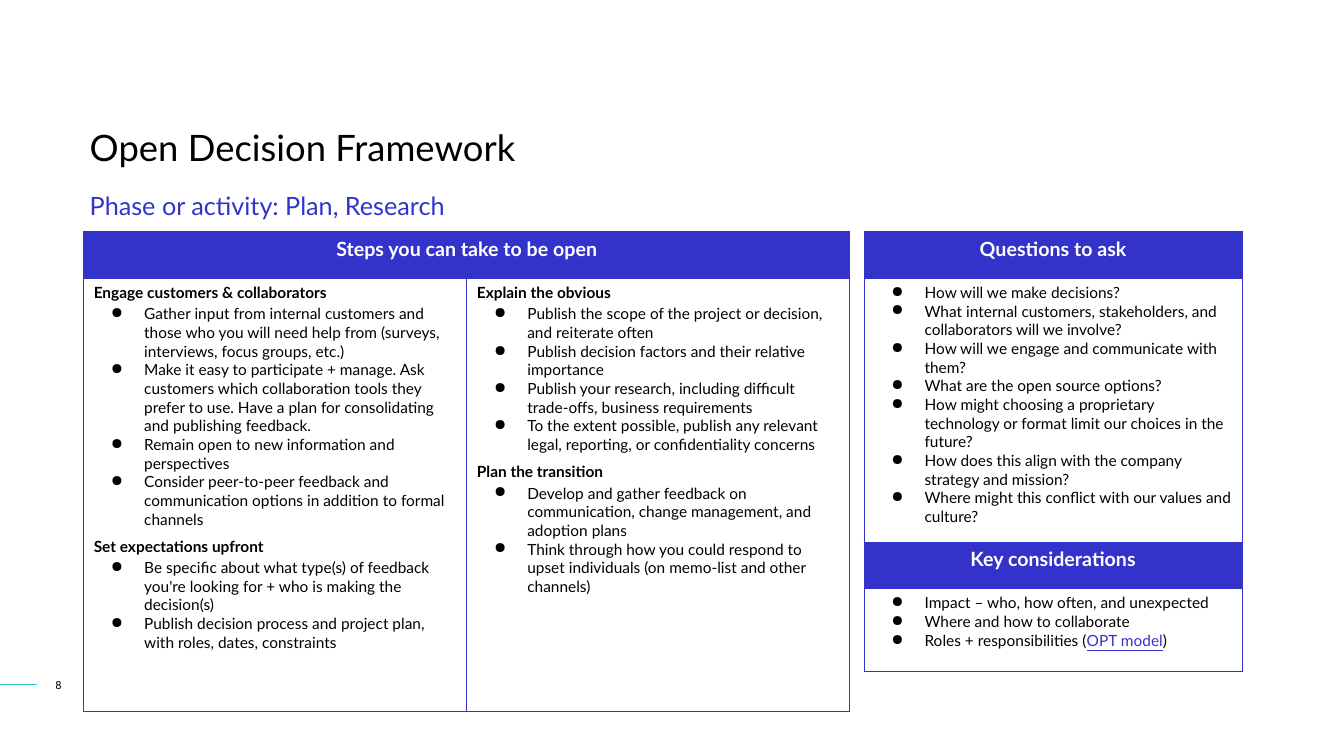
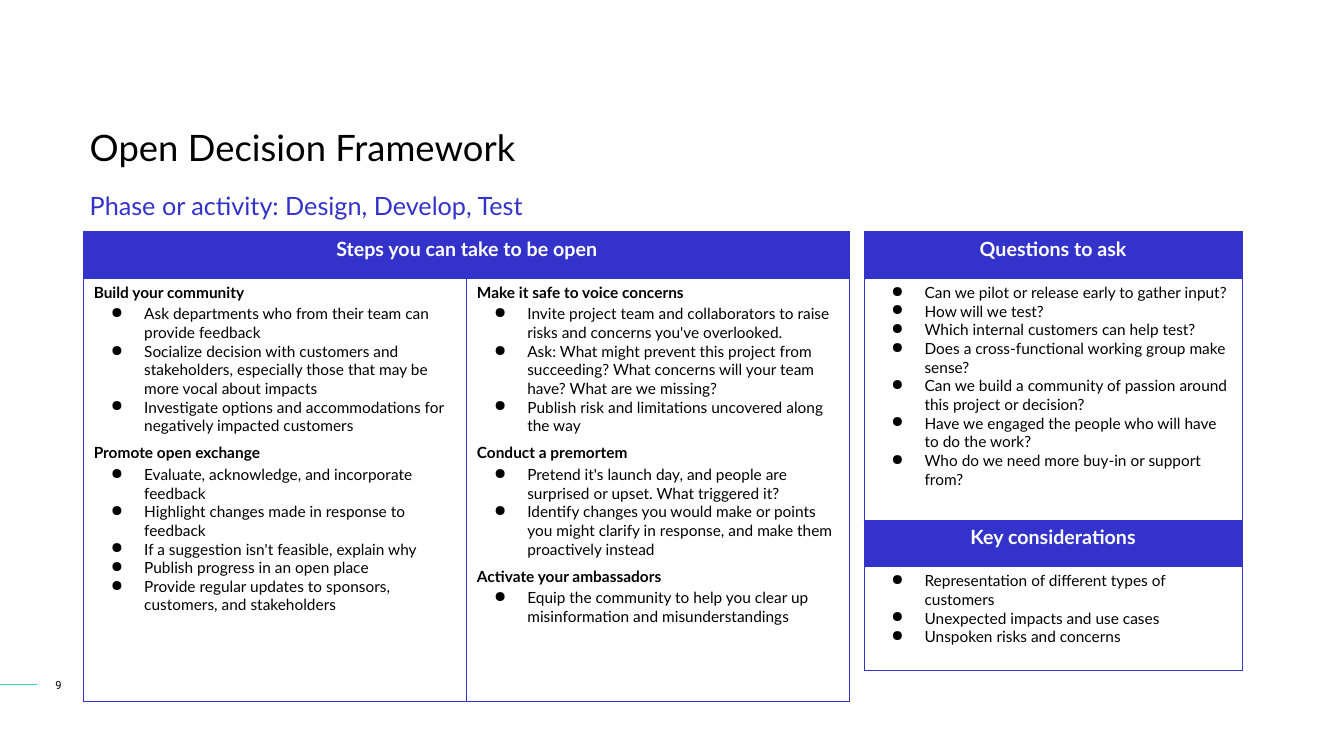
import pptx
import pptx.dml.color
import pptx.enum.text
import pptx.oxml
import pptx.oxml.ns
import pptx.util

Inches = pptx.util.Inches
Pt = pptx.util.Pt
RGB = pptx.dml.color.RGBColor.from_string
ALIGN = pptx.enum.text.PP_ALIGN

BLUE, TEAL, BLACK, WHITE = "3333CC", "33CCCC", "000000", "FFFFFF"
THEME = {
    "title": (BLACK, {"name": "Lato", "size": Pt(26)}),
    "phase": (BLUE, {"name": "Lato", "size": Pt(18)}),
    "band": (WHITE, {"name": "Lato", "size": Pt(14), "bold": True}),
    "head": (BLACK, {"name": "Lato", "size": Pt(11), "bold": True}),
    "item": (BLACK, {"name": "Lato", "size": Pt(11), "bold": False}),
    "link": (BLUE, {"name": "Lato", "size": Pt(11), "underline": True}),
    "page": (BLACK, {"name": "Roboto", "size": Pt(8)}),
}
RULE = Pt(0.75)
TOP, BAND = 2.3, 0.46

SLIDES = [
    {
        "page": "8",
        "phase": "Phase or activity: Plan, Research",
        "deep": 4.3,
        "split": 5.38,
        "end": 6.66,
        "steps": [
            [
                ("Engage customers & collaborators", [
                    "Gather input from internal customers and those who you will need help from (surveys, interviews, focus groups, etc.)",
                    "Make it easy to participate + manage. Ask customers which collaboration tools they prefer to use. Have a plan for consolidating and publishing feedback.",
                    "Remain open to new information and perspectives",
                    "Consider peer-to-peer feedback and communication options in addition to formal channels",
                ]),
                ("Set expectations upfront", [
                    "Be specific about what type(s) of feedback you're looking for + who is making the decision(s)",
                    "Publish decision process and project plan, with roles, dates, constraints",
                ]),
            ],
            [
                ("Explain the obvious", [
                    "Publish the scope of the project or decision, and reiterate often",
                    "Publish decision factors and their relative importance",
                    "Publish your research, including difficult trade-offs, business requirements",
                    "To the extent possible, publish any relevant legal, reporting, or confidentiality concerns",
                ]),
                ("Plan the transition", [
                    "Develop and gather feedback on communication, change management, and adoption plans",
                    "Think through how you could respond to upset individuals (on memo-list and other channels)",
                ]),
            ],
        ],
        "asks": [
            "How will we make decisions?",
            "What internal customers, stakeholders, and collaborators will we involve?",
            "How will we engage and communicate with them?",
            "What are the open source options?",
            "How might choosing a proprietary technology or format limit our choices in the future?",
            "How does this align with the company strategy and mission?",
            "Where might this conflict with our values and culture?",
        ],
        "keys": [
            "Impact – who, how often, and unexpected",
            "Where and how to collaborate",
            "Roles + responsibilities (|OPT model|)",
        ],
    },
    {
        "page": "9",
        "phase": "Phase or activity: Design, Develop, Test",
        "deep": 4.2,
        "split": 5.16,
        "end": 6.65,
        "steps": [
            [
                ("Build your community", [
                    "Ask departments who from their team can provide feedback",
                    "Socialize decision with customers and stakeholders, especially those that may be more vocal about impacts",
                    "Investigate options and accommodations for negatively impacted customers",
                ]),
                ("Promote open exchange", [
                    "Evaluate, acknowledge, and incorporate feedback",
                    "Highlight changes made in response to feedback",
                    "If a suggestion isn't feasible, explain why",
                    "Publish progress in an open place",
                    "Provide regular updates to sponsors, customers, and stakeholders",
                ]),
            ],
            [
                ("Make it safe to voice concerns", [
                    "Invite project team and collaborators to raise risks and concerns you've overlooked.",
                    "Ask: What might prevent this project from succeeding? What concerns will your team have? What are we missing?",
                    "Publish risk and limitations uncovered along the way",
                ]),
                ("Conduct a premortem", [
                    "Pretend it's launch day, and people are surprised or upset. What triggered it?",
                    "Identify changes you would make or points you might clarify in response, and make them proactively instead",
                ]),
                ("Activate your ambassadors", [
                    "Equip the community to help you clear up misinformation and misunderstandings",
                ]),
            ],
        ],
        "asks": [
            "Can we pilot or release early to gather input?",
            "How will we test?",
            "Which internal customers can help test?",
            "Does a cross-functional working group make sense?",
            "Can we build a community of passion around this project or decision?",
            "Have we engaged the people who will have to do the work?",
            "Who do we need more buy-in or support from?",
        ],
        "keys": [
            "Representation of different types of customers",
            "Unexpected impacts and use cases",
            "Unspoken risks and concerns",
        ],
    },
]


def write(frame, look, text, before=0):
    """Add a paragraph; text between | marks takes the link look."""
    para = frame.paragraphs[0]
    if para.runs:
        para = frame.add_paragraph()
    para.space_before = Pt(before)
    if look == "band":
        para.alignment = ALIGN.CENTER
    if look == "item":
        props = para._p.get_or_add_pPr()
        props.set("marL", str(Inches(0.5)))
        props.set("indent", str(Inches(-0.33)))
        ns = pptx.oxml.ns.nsdecls("a")
        for part in (f'<a:buClr {ns}><a:srgbClr val="{BLACK}"/></a:buClr>',
                     f'<a:buChar {ns} char="●"/>'):
            props.append(pptx.oxml.parse_xml(part))
    for i, piece in enumerate(text.split("|")):
        run = para.add_run()
        run.text = piece
        color, form = THEME["link" if i % 2 else look]
        run.font.color.rgb = RGB(color)
        for key, value in form.items():
            setattr(run.font, key, value)


def panel(slide, left, top, wide, deep, band, cols):
    """Draw a table with a title band over columns of headed bullet groups."""
    count = len(cols)
    table = slide.shapes.add_table(2, count, Inches(left), Inches(top),
                                   Inches(wide), Inches(BAND + deep)).table
    table.first_row = table.horz_banding = False
    for row, tall in zip(table.rows, (BAND, deep)):
        row.height = Inches(tall)
    for cell in table.iter_cells():
        cell.fill.background()
        for i, side in enumerate(("lnL", "lnR", "lnT", "lnB")):
            cell._tc.get_or_add_tcPr().insert(i, pptx.oxml.parse_xml(
                f'<a:{side} {pptx.oxml.ns.nsdecls("a")} w="{RULE}"><a:solidFill>'
                f'<a:srgbClr val="{BLUE}"/></a:solidFill></a:{side}>'))
    for cell in table.rows[0].cells:
        cell.fill.solid()
        cell.fill.fore_color.rgb = RGB(BLUE)
    if count > 1:
        table.cell(0, 0).merge(table.cell(0, count - 1))
    write(table.cell(0, 0).text_frame, "band", band)
    for i, groups in enumerate(cols):
        frame = table.cell(1, i).text_frame
        for j, (head, items) in enumerate(groups):
            if head:
                write(frame, "head", head, 6 if j else 0)
            for k, item in enumerate(items):
                write(frame, "item", item, 2 if head and k == 0 else 0)


deck = pptx.Presentation()
deck.slide_width, deck.slide_height = Inches(13.33), Inches(7.5)

for data in SLIDES:
    slide = deck.slides.add_slide(deck.slide_layouts[6])

    dash = slide.shapes.add_connector(1, 0, Inches(6.79), Inches(0.37), Inches(6.79))
    dash.line.color.rgb = RGB(TEAL)
    dash.line.width = RULE
    dash._element.spPr.append(
        pptx.oxml.parse_xml(f'<a:effectLst {pptx.oxml.ns.nsdecls("a")}/>'))

    for look, text, box in (
        ("title", "Open Decision Framework", (0.89, 1.16, 9.96, 0.6)),
        ("phase", data["phase"], (0.89, 1.84, 9.96, 0.4)),
        ("page", data["page"], (0.55, 6.53, 0.28, 0.53)),
    ):
        frame = slide.shapes.add_textbox(*map(Inches, box)).text_frame
        form = {"word_wrap": True, "vertical_anchor": pptx.enum.text.MSO_ANCHOR.MIDDLE,
                "margin_left": 0, "margin_right": 0, "margin_top": 0, "margin_bottom": 0}
        for key, value in form.items():
            setattr(frame, key, value)
        write(frame, look, text)

    split = data["split"]
    panel(slide, 0.83, TOP, 7.6, data["deep"], "Steps you can take to be open", data["steps"])
    panel(slide, 8.57, TOP, 3.75, split - TOP - BAND, "Questions to ask", [[(None, data["asks"])]])
    panel(slide, 8.57, split, 3.75, data["end"] - split - BAND, "Key considerations",
          [[(None, data["keys"])]])

deck.save("out.pptx")
